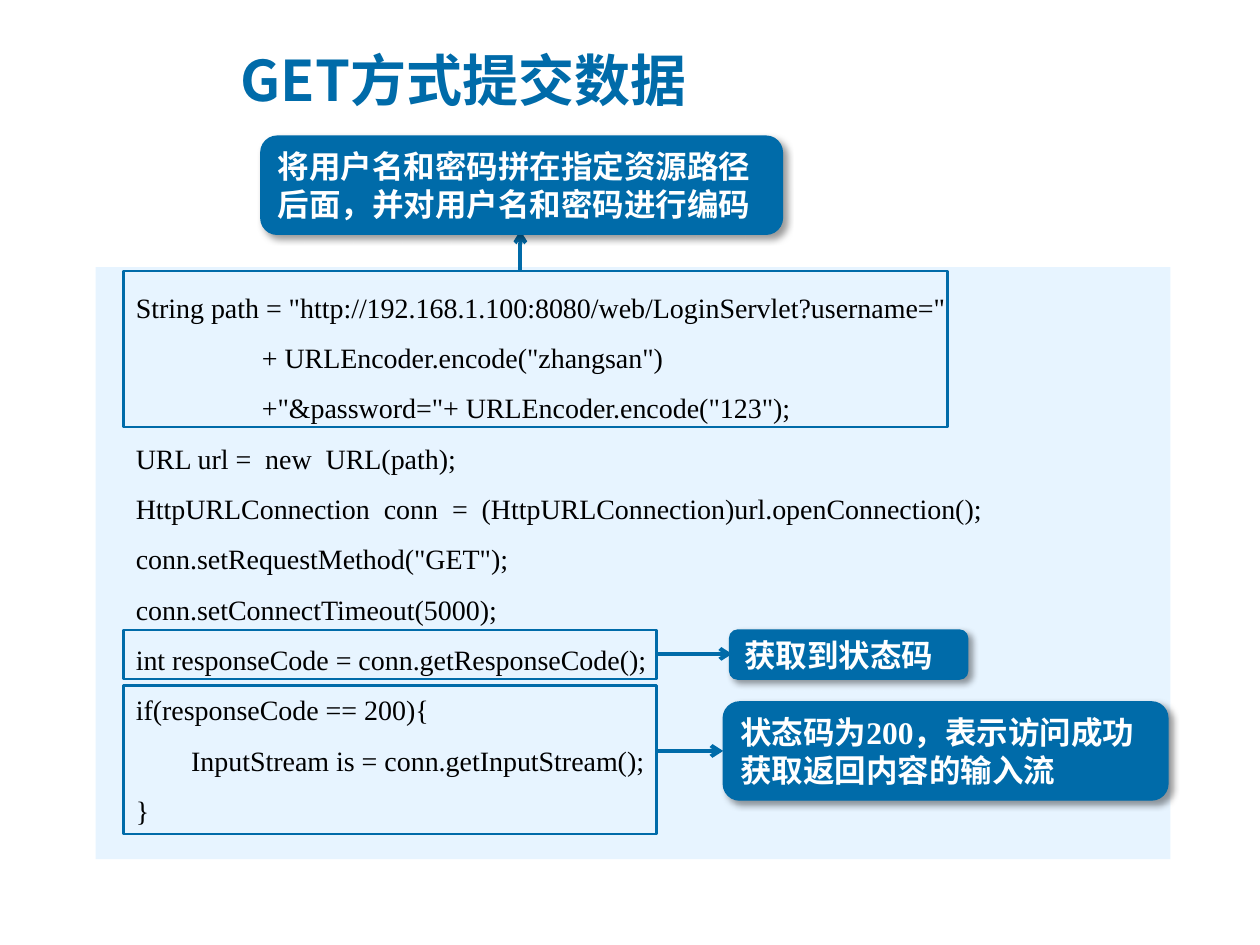
from lxml.etree import SubElement
from pptx import Presentation
from pptx.dml.color import RGBColor
from pptx.enum.shapes import MSO_CONNECTOR, MSO_SHAPE
from pptx.enum.text import MSO_ANCHOR as ANCHOR, MSO_AUTO_SIZE as AUTO, PP_ALIGN as ALIGN
from pptx.oxml.ns import qn
from pptx.util import Inches, Pt

BLUE, PALE, WHITE, BLACK = "006BA9", "E7F4FF", "FFFFFF", "000000"
CJK, SERIF, SANS = "Noto Sans CJK SC", "Times New Roman", "Calibri"

# (indent in inches, code)
CODE = [
    (0.22, 'String path = "http://192.168.1.100:8080/web/LoginServlet?username="'),
    (1.22, '+ URLEncoder.encode("zhangsan")'),
    (1.22, '+"&password="+ URLEncoder.encode("123");'),
    (0.22, "URL url =  new  URL(path);"),
    (0.22, "HttpURLConnection  conn  =  (HttpURLConnection)url.openConnection();"),
    (0.22, 'conn.setRequestMethod("GET");'),
    (0.22, "conn.setConnectTimeout(5000);"),
    (0.22, "int responseCode = conn.getResponseCode();"),
    (0.22, "if(responseCode == 200){"),
    (0.66, "InputStream is = conn.getInputStream();"),
    (0.22, "}"),
]


def rgb(color):
    return RGBColor.from_string(color)


def add_run(p, text, size=18, font=SANS, color=WHITE, bold=True):
    r = p.add_run()
    r.text = text
    r.font.size, r.font.bold, r.font.name = Pt(size), bold, font
    r.font.color.rgb = rgb(color)
    SubElement(r.font._element, qn("a:ea"), typeface=CJK)


class SlideBuilder:
    """Draws annotated code in one colour scheme on the current slide."""

    def __init__(self, prs):
        self.slide = prs.slides.add_slide(prs.slide_layouts[5])

    def title(self, text, *box):
        sp = self.slide.shapes.title
        sp.left, sp.top, sp.width, sp.height = map(Inches, box)
        tf = sp.text_frame
        tf.auto_size, tf.vertical_anchor = AUTO.NONE, ANCHOR.MIDDLE
        p = tf.paragraphs[0]
        p.alignment = ALIGN.LEFT
        add_run(p, text, size=32, font=CJK, color=BLUE)

    def shape(self, kind, box, fill=None, line=None, width=1.5):
        sp = self.slide.shapes.add_shape(kind, *map(Inches, box))
        sp.shadow.inherit = False
        for part, color in ((sp.fill, fill), (sp.line.fill, line)):
            if color:
                part.solid()
                part.fore_color.rgb = rgb(color)
            else:
                part.background()
        if line:
            sp.line.width = Pt(width)
        return sp

    def code(self, lines, *box):
        tf = self.shape(MSO_SHAPE.RECTANGLE, box, fill=PALE).text_frame
        tf.word_wrap, tf.vertical_anchor = True, ANCHOR.TOP
        for i, (indent, text) in enumerate(lines):
            p = tf.add_paragraph() if i else tf.paragraphs[0]
            p.alignment, p.line_spacing = ALIGN.LEFT, 1.5
            p._p.get_or_add_pPr().set("marL", str(Inches(indent)))
            add_run(p, text, size=16, font=SERIF, color=BLACK, bold=False)

    def frame(self, *box):
        self.shape(MSO_SHAPE.RECTANGLE, box, line=BLUE)

    def callout(self, paragraphs, *box):
        """Each paragraph is a list of (text, font) pairs."""
        sp = self.shape(MSO_SHAPE.ROUNDED_RECTANGLE, box, BLUE, BLUE, 0.75)
        effects = sp._element.spPr.find(qn("a:effectLst"))
        shadow = SubElement(effects, qn("a:outerShdw"), blurRad=str(Pt(4)), dist=str(Pt(3)),
                            dir="2700000", algn="tl", rotWithShape="0")
        SubElement(SubElement(shadow, qn("a:srgbClr"), val=BLACK), qn("a:alpha"), val="40000")
        tf = sp.text_frame
        tf.word_wrap, tf.vertical_anchor = True, ANCHOR.MIDDLE
        for i, runs in enumerate(paragraphs):
            p = tf.add_paragraph() if i else tf.paragraphs[0]
            p.alignment = ALIGN.LEFT
            for text, font in runs:
                add_run(p, text, font=font)

    def arrow(self, *ends):
        c = self.slide.shapes.add_connector(MSO_CONNECTOR.STRAIGHT, *map(Inches, ends))
        c.line.color.rgb, c.line.width = rgb(BLUE), Pt(2.25)
        SubElement(c.line._get_or_add_ln(), qn("a:tailEnd"), type="arrow")
        SubElement(c._element.spPr, qn("a:effectLst"))


def main():
    prs = Presentation()
    prs.slide_width, prs.slide_height = Inches(10), Inches(7.5)
    s = SlideBuilder(prs)
    s.title("GET方式提交数据", 1.81, 0.21, 5.63, 0.84)
    s.code(CODE, 0.76, 2.12, 8.53, 4.7)

    s.arrow(4.13, 2.14, 4.13, 1.83)
    s.callout([[("将用户名和密码拼在指定资源路径后面，并对用户名和密码进行编码", SANS)]],
              2.07, 1.08, 4.14, 0.78)
    s.frame(0.98, 2.15, 6.54, 1.24)

    s.arrow(5.21, 5.19, 5.81, 5.19)
    s.callout([[("获取到状态码", SANS)]], 5.79, 5, 1.89, 0.39)
    s.frame(0.98, 5, 4.23, 0.39)

    s.arrow(5.21, 5.96, 5.74, 5.96)
    s.callout([[("状态码为", SANS), ("200", SERIF), ("，表示访问成功", SANS)],
               [("获取返回内容的输入流", SANS)]], 5.74, 5.57, 3.53, 0.78)
    s.frame(0.98, 5.44, 4.23, 1.18)
    prs.save("out.pptx")


if __name__ == "__main__":
    main()
